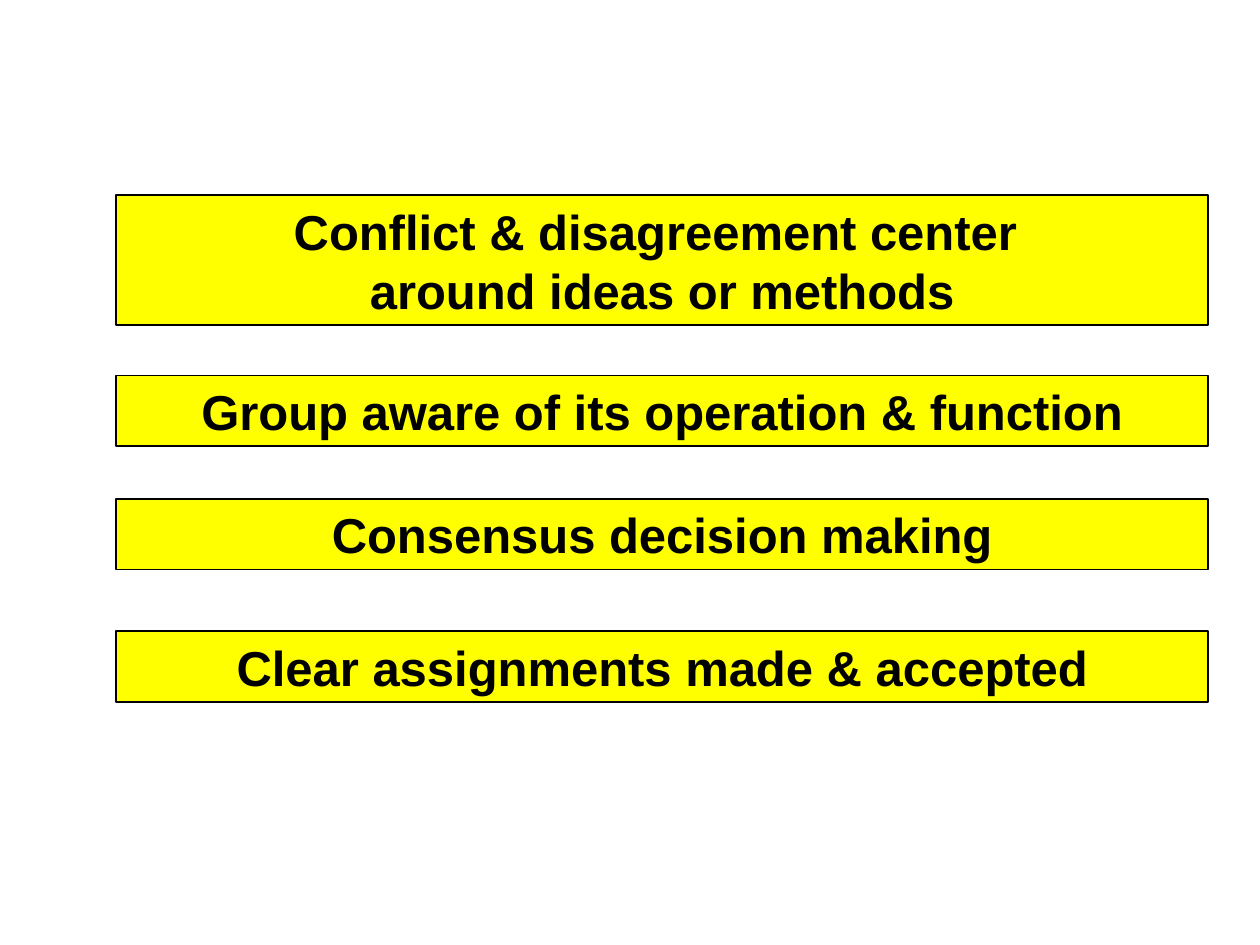
from dataclasses import dataclass

from pptx import Presentation
from pptx.dml.color import RGBColor
from pptx.enum.shapes import MSO_SHAPE
from pptx.enum.text import MSO_ANCHOR, MSO_AUTO_SIZE, PP_ALIGN
from pptx.util import Inches, Pt


@dataclass(frozen=True)
class Theme:
    fill: RGBColor = RGBColor(0xFF, 0xFF, 0x00)
    ink: RGBColor = RGBColor(0x00, 0x00, 0x00)
    font: str = "Arial"
    size: int = 28
    line: int = 1


THEME = Theme()
LEFT, WIDTH = 0.92, 8.67
ONE_LINE, TWO_LINES = 0.56, 1.03
STATEMENTS = [
    ("Conflict & disagreement center \naround ideas or methods", 1.55, TWO_LINES),
    ("Group aware of its operation & function", 2.98, ONE_LINE),
    ("Consensus decision making", 3.96, ONE_LINE),
    ("Clear assignments made & accepted", 5.01, ONE_LINE),
]


def write_text(tf, text, *, size=THEME.size, color=THEME.ink, bold=True, align=PP_ALIGN.CENTER):
    p = tf.paragraphs[0]
    p.text = text
    p.alignment = align
    for r in p.runs:
        r.font.name = THEME.font
        r.font.size = Pt(size)
        r.font.bold = bold
        r.font.color.rgb = color


def add_statement(s, text, left, top, width, height):
    sp = s.shapes.add_shape(
        MSO_SHAPE.RECTANGLE, Inches(left), Inches(top), Inches(width), Inches(height)
    )
    sp.shadow.inherit = False
    sp.fill.solid()
    sp.fill.fore_color.rgb = THEME.fill
    sp.line.color.rgb = THEME.ink
    sp.line.width = Pt(THEME.line)
    tf = sp.text_frame
    tf.word_wrap = True
    tf.auto_size = MSO_AUTO_SIZE.SHAPE_TO_FIT_TEXT
    tf.vertical_anchor = MSO_ANCHOR.MIDDLE
    write_text(tf, text)


def main():
    prs = Presentation()
    prs.slide_width, prs.slide_height = Inches(10), Inches(7.5)
    s = prs.slides.add_slide(prs.slide_layouts[6])
    for text, top, height in STATEMENTS:
        add_statement(s, text, LEFT, top, WIDTH, height)
    prs.save("out.pptx")


if __name__ == "__main__":
    main()
